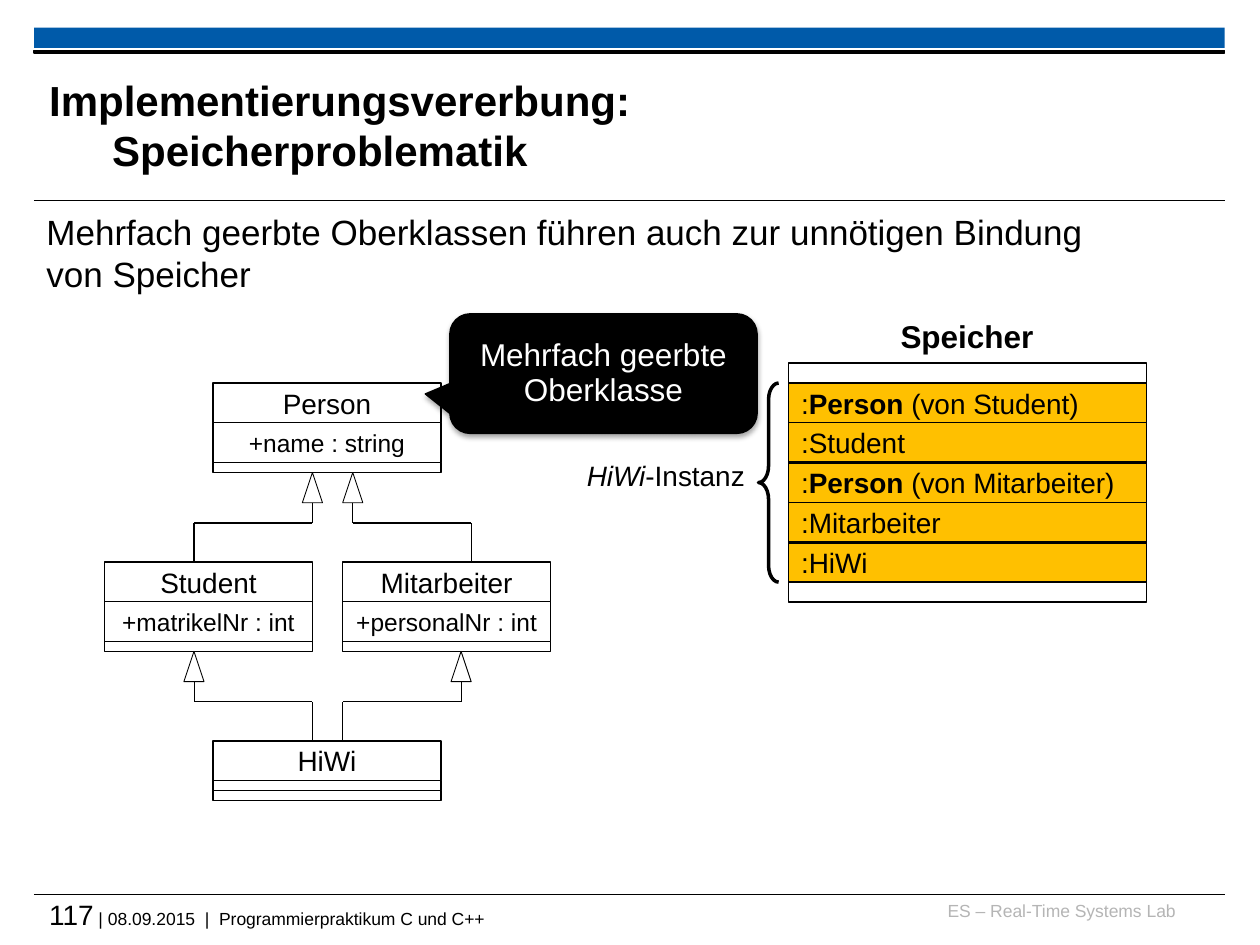
from itertools import pairwise
from typing import NamedTuple

from lxml import etree
from pptx import Presentation
from pptx import util as u
from pptx.dml import color
from pptx.enum import shapes, text
from pptx.oxml import ns

BLACK, WHITE, BLUE, AMBER, GREY = "000000", "FFFFFF", "005AA9", "FFC000", "B5B5B5"
ROW = 1.58 / 5
LEFT, CENTER, RIGHT = text.PP_ALIGN.LEFT, text.PP_ALIGN.CENTER, text.PP_ALIGN.RIGHT
TOP, MIDDLE = text.MSO_ANCHOR.TOP, text.MSO_ANCHOR.MIDDLE
SHAPE = shapes.MSO_SHAPE


class Run(NamedTuple):
    text: str
    size: float
    bold: bool = False
    italic: bool = False


class UmlClass(NamedTuple):
    name: str
    attribute: str
    left: float
    top: float
    width: float


class Inheritance(NamedTuple):
    parent_x: float
    parent_y: float
    child_x: float


CLASSES = [
    UmlClass("HiWi", "", 1.69, 5.88, 1.81),
    UmlClass("Student", "+matrikelNr : int", 0.83, 4.46, 1.65),
    UmlClass("Mitarbeiter", "+personalNr : int", 2.72, 4.46, 1.65),
    UmlClass("Person", "+name : string", 1.69, 3.04, 1.81),
]
INHERITANCES = [
    Inheritance(1.54, 5.17, 2.48),
    Inheritance(3.66, 5.17, 2.72),
    Inheritance(2.48, 3.75, 1.54),
    Inheritance(2.8, 3.75, 3.74),
]
MEMORY_CELLS = [
    [Run(":", 16), Run("Person", 16, bold=True), Run(" (von Student)", 16)],
    [Run(":Student", 16)],
    [Run(":", 16), Run("Person", 16, bold=True), Run(" (von Mitarbeiter)", 16)],
    [Run(":Mitarbeiter", 16)],
    [Run(":HiWi", 16)],
]
MEMORY_LEFT, MEMORY_TOP, MEMORY_WIDTH = 6.26, 3.04, 2.84


def rgb(value: str) -> color.RGBColor:
    return color.RGBColor.from_string(value)


def write(shape, runs: list[Run], *, ink=BLACK, align=LEFT, anchor=TOP,
          inset=(0, 0), spacing=1.0, wrap=True) -> None:
    frame = shape.text_frame
    frame.word_wrap = wrap
    frame.vertical_anchor = anchor
    frame.margin_left = frame.margin_right = u.Inches(inset[0])
    frame.margin_top = frame.margin_bottom = u.Inches(inset[1])
    paragraph = frame.paragraphs[0]
    paragraph.alignment = align
    paragraph.line_spacing = spacing
    for part in runs:
        for index, line in enumerate(part.text.split("\n")):
            if index:
                paragraph.add_line_break()
            run = paragraph.add_run()
            run.text = line
            run.font.name = "Arial"
            run.font.size = u.Pt(part.size)
            run.font.bold = part.bold
            run.font.italic = part.italic
            run.font.color.rgb = rgb(ink)


def add_label(slide, box: tuple, runs: list[Run], **style) -> None:
    write(slide.shapes.add_textbox(*map(u.Inches, box)), runs, **style)


def add_box(slide, box: tuple, fill=WHITE, line=0.75, kind=SHAPE.RECTANGLE):
    shape = slide.shapes.add_shape(kind, *map(u.Inches, box))
    shape.shadow.inherit = False
    if fill:
        shape.fill.solid()
        shape.fill.fore_color.rgb = rgb(fill)
    else:
        shape.fill.background()
    if line:
        shape.line.color.rgb = rgb(BLACK)
        shape.line.width = u.Pt(line)
    else:
        shape.line.fill.background()
    return shape


def add_line(slide, start: tuple, end: tuple, width: float) -> None:
    line = slide.shapes.add_connector(
        shapes.MSO_CONNECTOR.STRAIGHT, *map(u.Inches, start + end))
    line.line.color.rgb = rgb(BLACK)
    line.line.width = u.Pt(width)
    etree.SubElement(line._element.spPr, ns.qn("a:effectLst"))


def add_shadow(shape) -> None:
    effects = shape._element.spPr.find(ns.qn("a:effectLst"))
    shadow = etree.SubElement(
        effects, ns.qn("a:outerShdw"), blurRad=str(u.Pt(3.1)),
        dist=str(u.Pt(1.8)), dir="5400000", rotWithShape="0")
    tint = etree.SubElement(shadow, ns.qn("a:srgbClr"), val=BLACK)
    etree.SubElement(tint, ns.qn("a:alpha"), val="35000")


def draw_class(slide, uml: UmlClass) -> None:
    attribute_height = ROW if uml.attribute else ROW / 4
    top = uml.top
    for label, size, height in [(uml.name, 16, ROW),
                                (uml.attribute, 14, attribute_height),
                                ("", 14, ROW / 4)]:
        compartment = add_box(slide, (uml.left, top, uml.width, height))
        if label:
            write(compartment, [Run(label, size)], align=CENTER, anchor=MIDDLE)
        top += height


def draw_inheritance(slide, link: Inheritance) -> None:
    x, y, child = link
    add_box(slide, (x - 0.08, y, 0.16, 0.24), line=0.5, kind=SHAPE.ISOSCELES_TRIANGLE)
    route = [(x, y + 0.24), (x, y + 0.4), (child, y + 0.4), (child, y + 0.71)]
    for (start, end), width in zip(pairwise(route), (0.5, 0.75, 0.75)):
        add_line(slide, start, end, width)


def draw_frame(slide) -> None:
    add_box(slide, (0.27, 0.22, 9.45, 0.16), BLUE, line=0)
    add_box(slide, (0.27, 0.4, 9.45, 0.02), BLACK)
    for y in (1.59, 7.1):
        add_line(slide, (0.27, y), (9.72, y), 0.6)
    add_label(slide, (7.36, 7.14, 1.97, 0.25), [Run("ES – Real-Time Systems Lab", 10)],
              ink=GREY, align=RIGHT)
    add_label(slide, (0.39, 7.12, 9.33, 0.33), [
        Run("117", 16), Run(" | 08.09.2015  |  Programmierpraktikum C und C++", 10)])


def draw_memory(slide) -> None:
    bottom = MEMORY_TOP + len(MEMORY_CELLS) * ROW
    for top in (MEMORY_TOP - ROW / 2, bottom):
        add_box(slide, (MEMORY_LEFT, top, MEMORY_WIDTH, ROW / 2))
    for index, runs in enumerate(MEMORY_CELLS):
        cell = add_box(slide, (MEMORY_LEFT, MEMORY_TOP + index * ROW, MEMORY_WIDTH, ROW), AMBER)
        write(cell, runs, anchor=MIDDLE, inset=(0.1, 0))
    for index in (2, 4):
        y = MEMORY_TOP + index * ROW
        add_line(slide, (MEMORY_LEFT, y), (MEMORY_LEFT + MEMORY_WIDTH, y), 1.5)
    brace = add_box(slide, (6.02, MEMORY_TOP, 0.16, bottom - MEMORY_TOP), None, 2, SHAPE.LEFT_BRACE)
    brace.adjustments[0] = 0.83
    add_label(slide, (4.54, 3.59, 1.47, 0.37),
              [Run("HiWi", 16, italic=True), Run("-Instanz", 16)],
              align=RIGHT, inset=(0.1, 0.05), wrap=False)
    add_label(slide, (7.04, 2.49, 1.27, 0.38), [Run("Speicher", 18, bold=True)],
              align=CENTER, inset=(0.1, 0.05), spacing=0.93, wrap=False)


def draw_callout(slide) -> None:
    callout = add_box(slide, (3.57, 2.49, 2.44, 0.95), BLACK,
                      kind=SHAPE.ROUNDED_RECTANGULAR_CALLOUT)
    for index, value in enumerate((-0.58, 0.17, 0.17)):
        callout.adjustments[index] = value
    add_shadow(callout)
    write(callout, [Run("Mehrfach geerbte Oberklasse", 18)], ink=WHITE,
          align=CENTER, anchor=MIDDLE, inset=(0.1, 0.05), spacing=0.93)


def main() -> None:
    deck = Presentation()
    deck.slide_width, deck.slide_height = u.Inches(10), u.Inches(7.5)
    slide = deck.slides.add_slide(deck.slide_layouts[6])
    draw_frame(slide)
    add_label(slide, (0.39, 0.53, 7.52, 0.92),
              [Run("Implementierungsvererbung:\n\tSpeicherproblematik", 24, bold=True)],
              anchor=MIDDLE)
    add_label(slide, (0.27, 1.62, 8.43, 0.95),
              [Run("Mehrfach geerbte Oberklassen führen auch zur unnötigen "
                   "Bindung von Speicher", 20)], inset=(0.1, 0.05))
    draw_memory(slide)
    for uml in CLASSES:
        draw_class(slide, uml)
    for link in INHERITANCES:
        draw_inheritance(slide, link)
    draw_callout(slide)
    deck.save("out.pptx")


if __name__ == "__main__":
    main()
